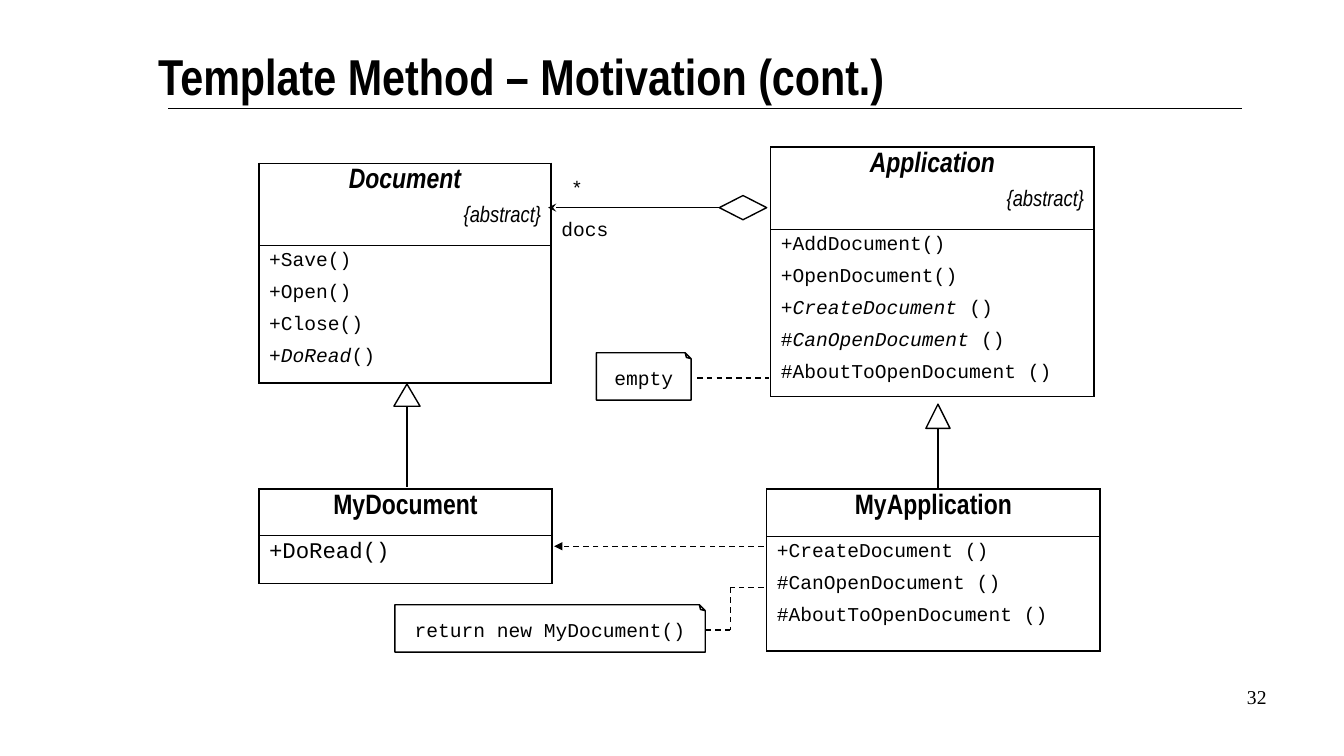
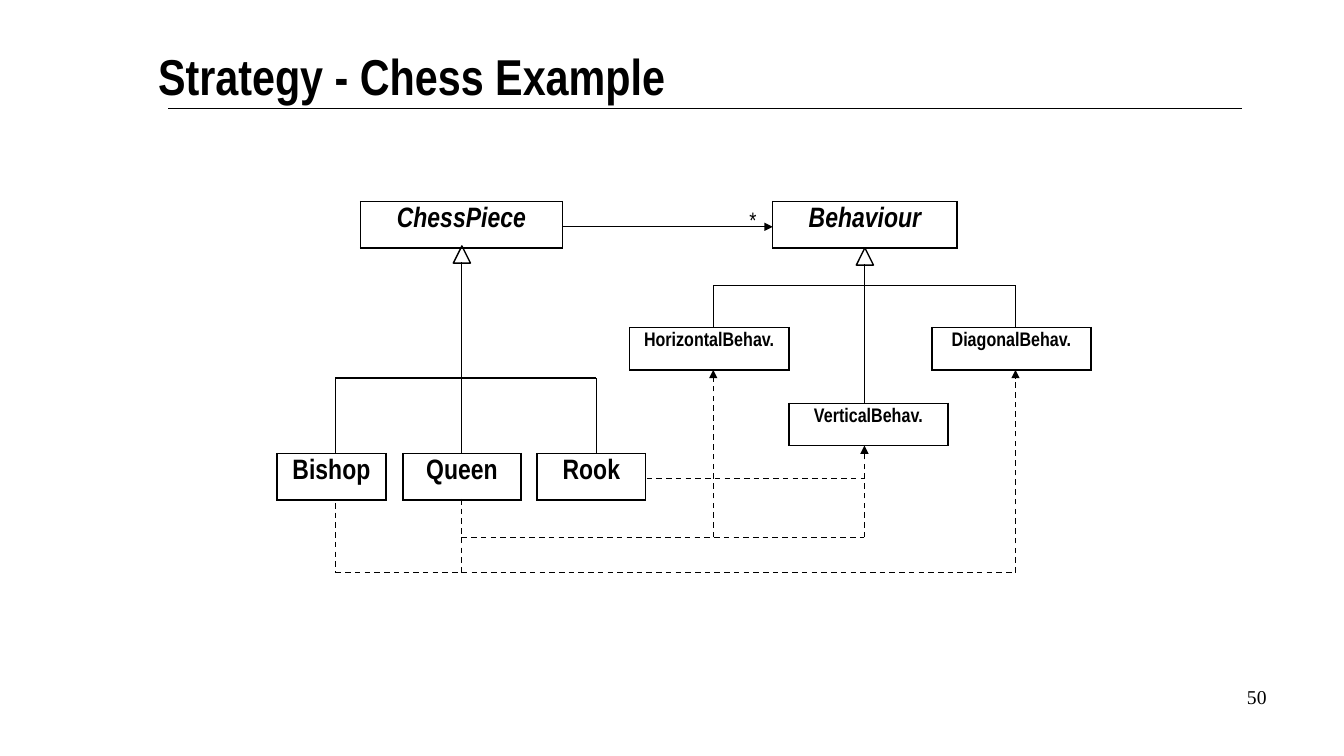
from dataclasses import dataclass

from lxml.etree import SubElement
from pptx import Presentation
from pptx.dml.color import RGBColor
from pptx.enum.dml import MSO_LINE
from pptx.enum.shapes import MSO_CONNECTOR, MSO_SHAPE
from pptx.enum.text import MSO_ANCHOR, PP_ALIGN
from pptx.oxml.ns import qn
from pptx.util import Inches, Pt


@dataclass(frozen=True)
class Theme:
    ink: str = "000000"
    heading: str = "Arial Narrow"
    code: str = "Courier New"
    number: str = "Times New Roman"
    title_size: int = 36
    class_size: int = 20
    note_size: int = 16
    small_size: int = 14
    rule: float = 0.75
    line: float = 1
    border: float = 1.08
    divider: float = 0.45


THEME = Theme()

# Content, slide 1: members alternate upright and italic runs
UML_CLASSES = [
    dict(name="Document", at=(2.57, 1.62), width=2.9, heights=(0.81, 1.37), abstract=True,
         members=[("+Save()",), ("+Open()",), ("+Close()",), ("+", "DoRead", "()")]),
    dict(name="MyDocument", at=(2.57, 4.85), width=2.91, heights=(0.46, 0.48),
         members=[("+DoRead()",)], member_size=THEME.note_size),
    dict(name="Application", at=(7.65, 1.46), width=3.21, heights=(0.81, 1.66), abstract=True,
         members=[("+AddDocument()",), ("+OpenDocument()",), ("+", "CreateDocument", " ()"),
                  ("#", "CanOpenDocument", " ()"), ("#AboutToOpenDocument ()",)]),
    dict(name="MyApplication", at=(7.61, 4.85), width=3.31, heights=(0.47, 1.14),
         members=[("+CreateDocument ()",), ("#CanOpenDocument ()",),
                  ("#AboutToOpenDocument ()",)]),
]
NOTES = [("empty", (5.92, 3.5), 0.94), ("return new MyDocument()", (3.92, 6), 3.08)]
NOTE_HEIGHT = 0.47
MOTIVATION_SYMBOLS = [
    (MSO_SHAPE.ISOSCELES_TRIANGLE, (3.91, 3.81, 0.26, 0.22)),
    (MSO_SHAPE.ISOSCELES_TRIANGLE, (9.19, 4.01, 0.24, 0.24)),
    (MSO_SHAPE.DIAMOND, (7.14, 1.94, 0.47, 0.24)),
]
# Routes: points, dashed, arrowhead at the last point
MOTIVATION_ROUTES = [
    ([(4.04, 4.03), (4.04, 4.83)], False, None),
    ([(9.31, 4.25), (9.31, 4.84)], False, None),
    ([(7.14, 2.06), (5.44, 2.06)], False, "stealth"),
    ([(6.92, 3.75), (7.63, 3.75)], True, None),
    ([(7.58, 5.42), (5.5, 5.42)], True, "triangle"),
    ([(7.58, 5.83), (7.25, 5.83), (7.25, 6.25), (7, 6.25)], True, None),
]

# Content, slide 2
SUPERCLASSES = [("ChessPiece", 3.58, 2), ("Behaviour", 7.67, 1.83)]
PIECES = [("Bishop", 2.75, 1.08), ("Queen", 4, 1.17), ("Rook", 5.33, 1.08)]
BEHAVIOURS = [("HorizontalBehav.", 6.25, 3.25), ("VerticalBehav.", 7.83, 4),
              ("DiagonalBehav.", 9.25, 3.25)]
SUPER_TOP, PIECE_TOP, PIECE_HEIGHT = 2, 4.5, 0.46
BEHAVIOUR_WIDTH, BEHAVIOUR_HEIGHT = 1.58, 0.42
BISHOP_X, QUEEN_X, ROOK_X = 3.33, 4.58, 5.92
HORIZONTAL_X, VERTICAL_X, DIAGONAL_X = 7.08, 8.58, 10.08
QUEEN_LANE, BISHOP_LANE = 5.33, 5.68
CHESS_SYMBOLS = [
    (MSO_SHAPE.ISOSCELES_TRIANGLE, (4.5, 2.44, 0.17, 0.17)),
    (MSO_SHAPE.ISOSCELES_TRIANGLE, (8.5, 2.46, 0.17, 0.17)),
]
CHESS_ROUTES = [
    ([(5.58, 2.25), (7.67, 2.25)], False, "triangle"),
    ([(QUEEN_X, 2.6), (QUEEN_X, PIECE_TOP)], False, None),
    ([(BISHOP_X, PIECE_TOP), (BISHOP_X, 3.75), (ROOK_X, 3.75), (ROOK_X, PIECE_TOP)],
     False, None),
    ([(VERTICAL_X, 2.62), (VERTICAL_X, 4)], False, None),
    ([(HORIZONTAL_X, 3.25), (HORIZONTAL_X, 2.83), (DIAGONAL_X, 2.83), (DIAGONAL_X, 3.25)],
     False, None),
    ([(QUEEN_X, 4.95), (QUEEN_X, BISHOP_LANE)], True, None),
    ([(BISHOP_X, 4.99), (BISHOP_X, BISHOP_LANE), (DIAGONAL_X, BISHOP_LANE),
      (DIAGONAL_X, 3.67)], True, "triangle"),
    ([(6.42, 4.75), (VERTICAL_X, 4.75)], True, None),
    ([(QUEEN_X, QUEEN_LANE), (VERTICAL_X, QUEEN_LANE), (VERTICAL_X, 4.42)], True, "triangle"),
    ([(HORIZONTAL_X, QUEEN_LANE), (HORIZONTAL_X, 3.67)], True, "triangle"),
]


# Text
def add_run(paragraph, text, size, font, bold=False, italic=False):
    run = paragraph.add_run()
    run.text = text
    run.font.name, run.font.size = font, Pt(size)
    run.font.bold, run.font.italic = bold, italic
    run.font.color.rgb = RGBColor.from_string(THEME.ink)


def add_label(slide, at, text, size, font, align=PP_ALIGN.CENTER, bold=False, wrap=True,
              inset=(0.1, 0.05), anchor=MSO_ANCHOR.TOP):
    frame = slide.shapes.add_textbox(*map(Inches, at)).text_frame
    frame.word_wrap, frame.vertical_anchor = wrap, anchor
    frame.margin_left = frame.margin_right = Inches(inset[0])
    frame.margin_top = frame.margin_bottom = Inches(inset[1])
    frame.paragraphs[0].alignment = align
    add_run(frame.paragraphs[0], text, size, font, bold)


# Lines and symbols
def set_line(line, width=THEME.line):
    line.color.rgb = RGBColor.from_string(THEME.ink)
    line.width = Pt(width)


def add_route(slide, points, dashed=False, arrow=None, width=THEME.line):
    for start, end in zip(points, points[1:]):
        segment = slide.shapes.add_connector(
            MSO_CONNECTOR.STRAIGHT, *map(Inches, start + end))
        set_line(segment.line, width)
        if dashed:
            segment.line.dash_style = MSO_LINE.DASH
        properties = segment.element.spPr
        if arrow and end == points[-1]:
            SubElement(properties.find(qn("a:ln")), qn("a:tailEnd"), type=arrow)
        SubElement(properties, qn("a:effectLst"))


def add_symbol(slide, kind, at):
    symbol = slide.shapes.add_shape(kind, *map(Inches, at))
    symbol.shadow.inherit = False
    symbol.fill.background()
    set_line(symbol.line)
    return symbol


def add_note(slide, text, at, width):
    left, top = at
    corner = add_symbol(slide, MSO_SHAPE.FOLDED_CORNER, (left, top, width, NOTE_HEIGHT))
    properties = corner.element.spPr
    properties.find(qn("a:xfrm")).set("flipV", "1")
    geometry = properties.find(qn("a:prstGeom"))
    SubElement(geometry.get_or_add_avLst(), qn("a:gd"), name="adj", fmla="val 12500")
    add_label(slide, (left, top + 0.08, width, 0.34), text, THEME.small_size, THEME.code)


# Class boxes
def set_borders(cell, top, bottom):
    properties = cell._tc.get_or_add_tcPr()
    sides = (("L", THEME.border), ("R", THEME.border), ("T", top), ("B", bottom))
    for place, (side, width) in enumerate(sides):
        border = properties.makeelement(qn("a:ln" + side), {"w": str(int(Pt(width)))})
        fill = SubElement(border, qn("a:solidFill"))
        SubElement(fill, qn("a:srgbClr"), val=THEME.ink)
        properties.insert(place, border)


def add_class(slide, name, at, width, heights, abstract=False, italic=False, members=(),
              name_size=THEME.class_size, member_size=THEME.small_size):
    frame = slide.shapes.add_table(
        len(heights), 1, *map(Inches, (*at, width, sum(heights))))
    table = frame.table
    table.first_row = table.horz_banding = False
    for index, height in enumerate(heights):
        table.rows[index].height = Inches(height)
        cell = table.cell(index, 0)
        cell.fill.background()
        set_borders(cell, THEME.divider if index else THEME.border,
                    THEME.border if index == len(heights) - 1 else THEME.divider)

    header = table.cell(0, 0).text_frame
    header.paragraphs[0].alignment = PP_ALIGN.CENTER
    add_run(header.paragraphs[0], name, name_size, THEME.heading, True, abstract or italic)
    if abstract:
        constraint = header.add_paragraph()
        constraint.alignment = PP_ALIGN.RIGHT
        constraint.space_before = Pt(THEME.note_size / 2)
        add_run(constraint, "{abstract}", THEME.note_size, THEME.heading, italic=True)

    for index, pieces in enumerate(members):
        body = table.cell(1, 0).text_frame
        member = body.add_paragraph() if index else body.paragraphs[0]
        if index:
            member.space_before = Pt(member_size / 2)
        for place, piece in enumerate(pieces):
            add_run(member, piece, member_size, THEME.code, italic=place % 2 == 1)


# Slides
def start_slide(deck, title, number):
    slide = deck.slides.add_slide(deck.slide_layouts[6])
    add_route(slide, [(1.67, 1.08), (12.33, 1.08)], width=THEME.rule)
    add_label(slide, (1.57, 0.37, 10.2, 0.75), title, THEME.title_size, THEME.heading,
              PP_ALIGN.LEFT, bold=True, inset=(0, 0), anchor=MSO_ANCHOR.MIDDLE)
    add_label(slide, (9.89, 6.75, 2.78, 0.5), number, THEME.small_size, THEME.number,
              PP_ALIGN.RIGHT)
    return slide


def draw_diagram(slide, symbols, routes):
    for kind, at in symbols:
        add_symbol(slide, kind, at)
    for points, dashed, arrow in routes:
        add_route(slide, points, dashed, arrow)


def build_motivation(deck):
    slide = start_slide(deck, "Template Method – Motivation (cont.)", "32")
    for uml_class in UML_CLASSES:
        add_class(slide, **uml_class)
    draw_diagram(slide, MOTIVATION_SYMBOLS, MOTIVATION_ROUTES)
    add_label(slide, (5.41, 2.1, 0.79, 0.34), "docs", THEME.small_size, THEME.code)
    add_label(slide, (5.57, 1.7, 0.31, 0.34), "*", THEME.small_size, THEME.code, wrap=False)
    for note in NOTES:
        add_note(slide, *note)


def build_chess(deck):
    slide = start_slide(deck, "Strategy - Chess Example", "50")
    for name, left, width in SUPERCLASSES:
        add_class(slide, name, (left, SUPER_TOP), width, [PIECE_HEIGHT], italic=True)
    for name, left, width in PIECES:
        add_class(slide, name, (left, PIECE_TOP), width, [PIECE_HEIGHT])
    for name, left, top in BEHAVIOURS:
        add_class(slide, name, (left, top), BEHAVIOUR_WIDTH, [BEHAVIOUR_HEIGHT],
                  name_size=THEME.small_size)
    draw_diagram(slide, CHESS_SYMBOLS, CHESS_ROUTES)
    add_label(slide, (7.34, 2, 0.27, 0.37), "*", THEME.note_size, THEME.heading,
              PP_ALIGN.LEFT, wrap=False)


def main():
    deck = Presentation()
    deck.slide_width, deck.slide_height = Inches(13.34), Inches(7.5)
    build_motivation(deck)
    build_chess(deck)
    deck.save("out.pptx")


if __name__ == "__main__":
    main()
